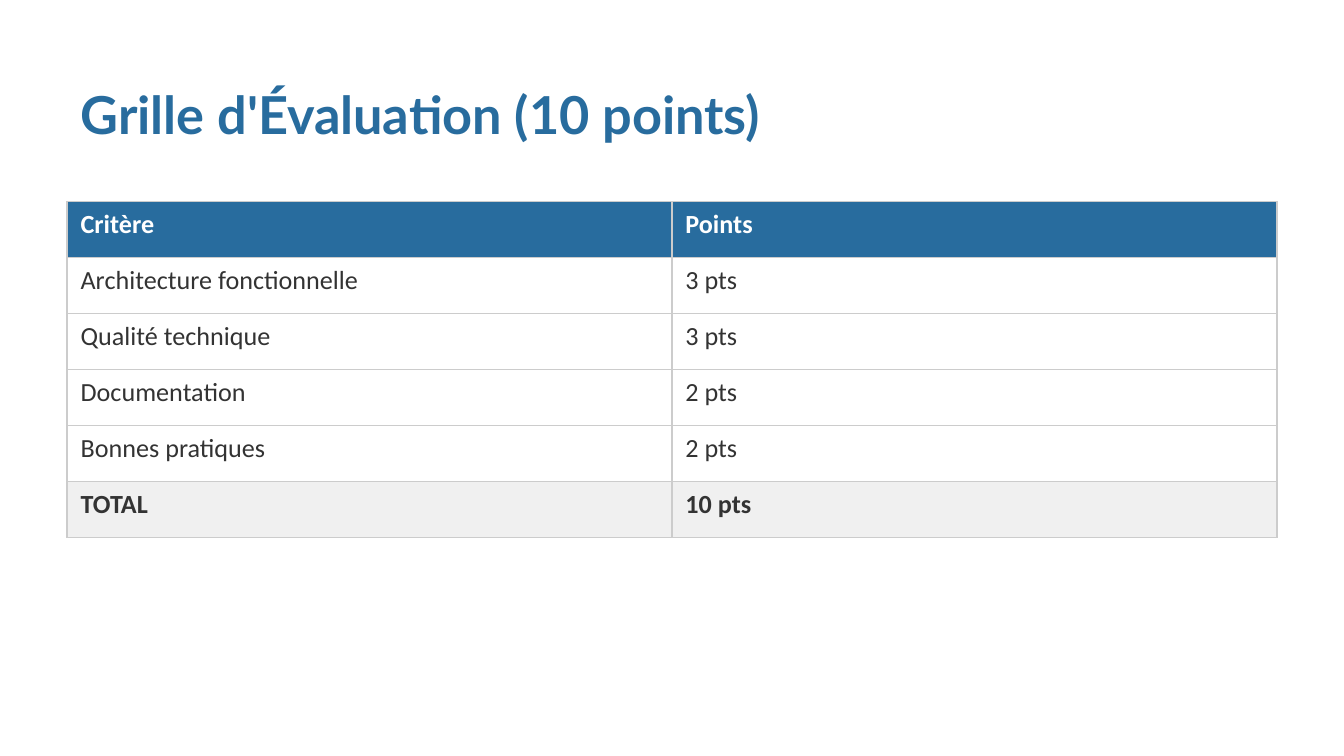
"""Build the evaluation grid slide with a title and a points table."""
from pptx import Presentation, util as u
from pptx.dml.color import RGBColor
from pptx.enum import text
from pptx.oxml import parse_xml
from pptx.oxml.ns import nsdecls

PX = 9525
COLORS = {
    "blue": "286C9E",
    "white": "FFFFFF",
    "dark": "333333",
    "grey": "F0F0F0",
    "border": "CCCCCC",
}
CRITERIA = [
    ("Critère", "Points"),
    ("Architecture fonctionnelle", "3 pts"),
    ("Qualité technique", "3 pts"),
    ("Documentation", "2 pts"),
    ("Bonnes pratiques", "2 pts"),
    ("TOTAL", "10 pts"),
]


def px(*lengths):
    return [u.Emu(length * PX) for length in lengths]


def write(frame, content, *, size, color, font="Calibri", bold=False):
    paragraph = frame.paragraphs[0]
    paragraph.alignment = text.PP_ALIGN.LEFT
    run = paragraph.add_run()
    run.text = content
    run.font.name = font
    run.font.size = u.Pt(size)
    run.font.bold = bold
    run.font.color.rgb = RGBColor.from_string(COLORS[color])


class SlideBuilder:
    def __init__(self, slide):
        self.slide = slide
        self.border_width = u.Pt(1)
        self.text_size = 14

    def title(self, content, box):
        shape = self.slide.shapes.title
        shape.left, shape.top, shape.width, shape.height = px(*box)
        frame = shape.text_frame
        frame.word_wrap = True
        frame.auto_size = text.MSO_AUTO_SIZE.NONE
        frame.vertical_anchor = text.MSO_ANCHOR.MIDDLE
        write(frame, content, size=28, color="blue", font="Lato", bold=True)

    def borders(self, cell):
        properties = cell._tc.get_or_add_tcPr()
        for side in "LRTB":
            properties.append(parse_xml(
                f'<a:ln{side} {nsdecls("a")} w="{self.border_width}"><a:solidFill>'
                f'<a:srgbClr val="{COLORS["border"]}"/></a:solidFill></a:ln{side}>'
            ))

    def cell(self, cell, content, color, fill, bold):
        self.borders(cell)
        if fill:
            cell.fill.solid()
            cell.fill.fore_color.rgb = RGBColor.from_string(COLORS[fill])
        else:
            cell.fill.background()
        write(cell.text_frame, content, size=self.text_size, color=color, bold=bold)

    def table(self, rows, box):
        frame = self.slide.shapes.add_table(len(rows), len(rows[0]), *px(*box))
        table = frame.table
        table.first_row = table.horz_banding = False
        styles = {0: ("white", "blue", True), len(rows) - 1: ("dark", "grey", True)}
        for row, values in enumerate(rows):
            style = styles.get(row, ("dark", None, False))
            for column, value in enumerate(values):
                self.cell(table.cell(row, column), value, *style)


def main():
    presentation = Presentation()
    presentation.slide_width, presentation.slide_height = px(960, 540)
    slide = presentation.slides.add_slide(presentation.slide_layouts[5])
    builder = SlideBuilder(slide)
    builder.title("Grille d'Évaluation (10 points)", (48, 48, 864, 67))
    builder.table(CRITERIA, (48, 144, 864, 240))
    presentation.save("out.pptx")


if __name__ == "__main__":
    main()
